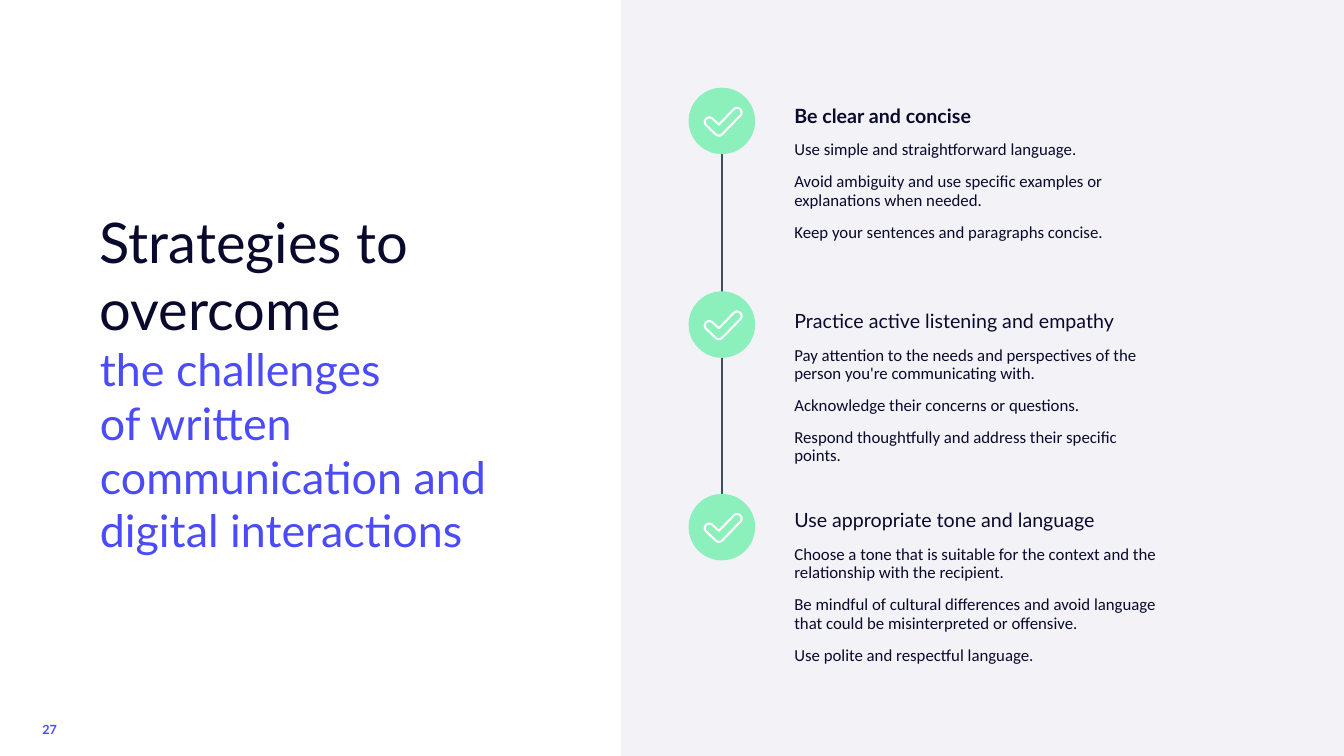
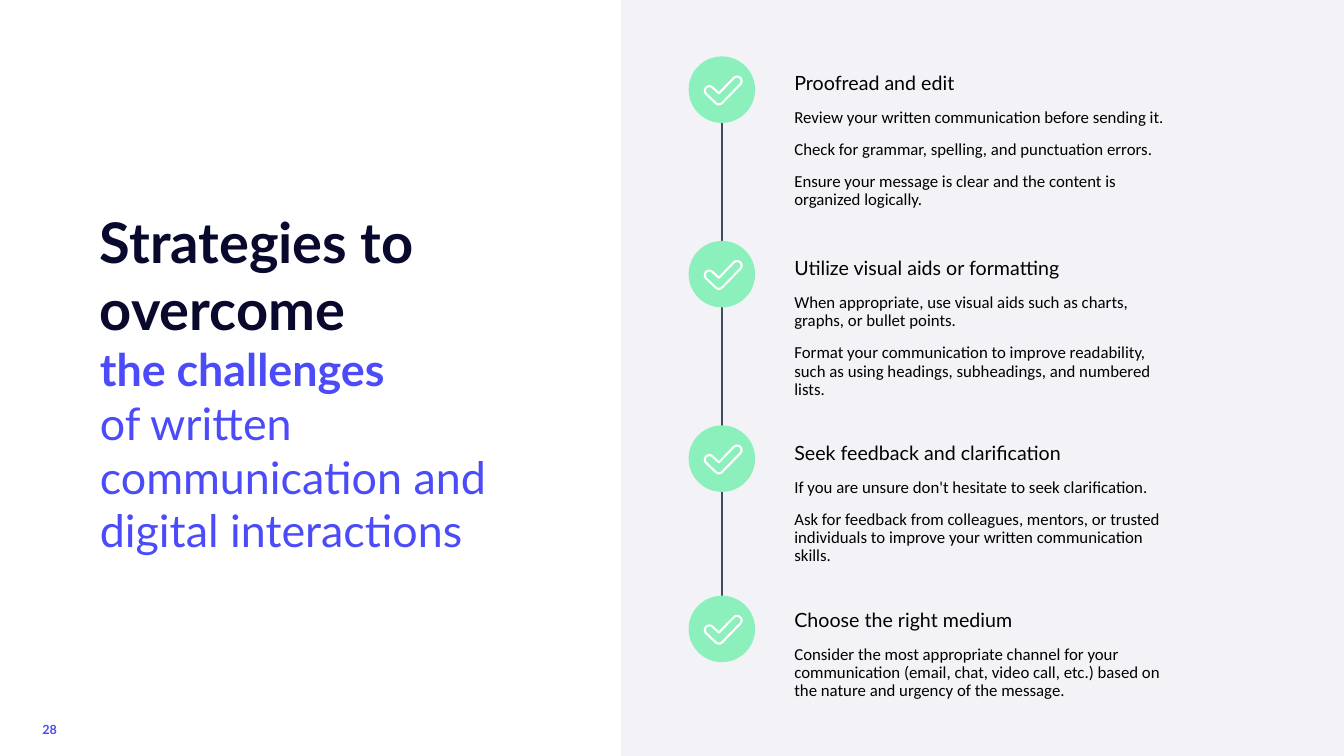
from math import cos, radians, sin, sqrt

from lxml import etree
from pptx import Presentation
from pptx.dml.color import RGBColor
from pptx.enum.shapes import MSO_CONNECTOR as Connector, MSO_SHAPE as Shape
from pptx.enum.text import MSO_ANCHOR as Anchor, MSO_AUTO_SIZE as AutoSize, PP_ALIGN as Align
from pptx.oxml.ns import qn
from pptx.util import Pt

PX = 9144
WIDTH, HEIGHT = 1333, 750
COLORS = {
    "white": "FFFFFF",
    "navy": "09092D",
    "black": "000000",
    "violet": "4B4BF9",
    "panel": "F3F3F7",
    "rail": "3D4C5F",
    "mint": "8BF0BB",
}
HEADING_FONT, BODY_FONT = "Lato", "Calibri"
PANEL_LEFT, TEXT_LEFT, TEXT_WIDTH = 616, 778, 389
BADGE_LEFT, BADGE_SIZE = 683, 66
TICK_RADIUS = 4.5
TICK_ARCS = [((5.5, 15), -45, -225), ((15, 24), 135, 45), ((33, 5.5), 45, -135)]

PAGES = [
    {
        "number": "27",
        "bold_title": False,
        "color": "navy",
        "steps": [
            (87, 98, "Be clear and concise", [
                "Use simple and straightforward language.",
                "Avoid ambiguity and use specific examples or explanations when needed.",
                "Keep your sentences and paragraphs concise.",
            ]),
            (289, 304, "Practice active listening and empathy", [
                "Pay attention to the needs and perspectives of the person you're communicating with.",
                "Acknowledge their concerns or questions.",
                "Respond thoughtfully and address their specific points.",
            ]),
            (490, 502, "Use appropriate tone and language", [
                "Choose a tone that is suitable for the context and the relationship with the recipient.",
                "Be mindful of cultural differences and avoid language that could be misinterpreted or offensive.",
                "Use polite and respectful language.",
            ]),
        ],
        "bold_step": 0,
    },
    {
        "number": "28",
        "bold_title": True,
        "color": "black",
        "steps": [
            (56, 68, "Proofread and edit", [
                "Review your written communication before sending it.",
                "Check for grammar, spelling, and punctuation errors.",
                "Ensure your message is clear and the content is organized logically.",
            ]),
            (239, 252, "Utilize visual aids or formatting", [
                "When appropriate, use visual aids such as charts, graphs, or bullet points.",
                "Format your communication to improve readability, such as using headings, "
                "subheadings, and numbered lists.",
            ]),
            (422, 435, "Seek feedback and clarification", [
                "If you are unsure don't hesitate to seek clarification.",
                "Ask for feedback from colleagues, mentors, or trusted individuals to improve "
                "your written communication skills.",
            ]),
            (591, 601, "Choose the right medium", [
                "Consider the most appropriate channel for your communication (email, chat, "
                "video call, etc.) based on the nature and urgency of the message.",
            ]),
        ],
        "bold_step": None,
    },
]


def px(*lengths):
    """Turn px lengths into EMU."""
    return [round(length * PX) for length in lengths]


def rgb(name):
    """Look up a named colour."""
    return RGBColor.from_string(COLORS[name])


def write(frame, text, first=False, size=12, font=BODY_FONT, color="navy", bold=False,
          spacing=0.9, before=0):
    """Add one formatted paragraph to a text frame."""
    para = frame.paragraphs[0] if first else frame.add_paragraph()
    para.alignment = Align.LEFT
    para.line_spacing = spacing
    para.space_before = Pt(before)
    span = para.add_run()
    span.text = text
    span.font.size, span.font.name, span.font.bold = Pt(size), font, bold
    span.font.color.rgb = rgb(color)


class Builder:
    """Hold the deck style and the current page."""

    def __init__(self):
        """Start an empty wide deck."""
        self.deck = Presentation()
        self.deck.slide_width, self.deck.slide_height = px(WIDTH, HEIGHT)
        self.page = None

    def start_page(self, number):
        """Add a page with its side panel and number."""
        self.page = self.deck.slides.add_slide(self.deck.slide_layouts[5])
        self.shape(Shape.RECTANGLE, PANEL_LEFT, 0, WIDTH - PANEL_LEFT, HEIGHT, "panel")
        frame = self.text_box(37, 713, 40, 24, inset=5)
        write(frame, number, first=True, size=9, font=HEADING_FONT, color="violet", bold=True)

    def title(self, bold):
        """Place and fill the title placeholder."""
        title = self.page.shapes.title
        title.left, title.top, title.width, title.height = px(89, 199, 461, 360)
        frame = title.text_frame
        frame.auto_size = AutoSize.NONE
        frame.vertical_anchor = Anchor.MIDDLE
        style = {"font": HEADING_FONT, "spacing": 1.0}
        write(frame, "Strategies to overcome", first=True, size=40, bold=bold, **style)
        write(frame, "the challenges", size=32, color="violet", bold=bold, **style)
        write(frame, "of written communication and digital interactions",
              size=32, color="violet", **style)

    def shape(self, kind, left, top, width, height, fill):
        """Add a plain filled shape."""
        shape = self.page.shapes.add_shape(kind, *px(left, top, width, height))
        shape.shadow.inherit = False
        shape.fill.solid()
        shape.fill.fore_color.rgb = rgb(fill)
        shape.line.fill.background()

    def text_box(self, left, top, width, height, inset=None):
        """Add a wrapping text box and return its frame."""
        frame = self.page.shapes.add_textbox(*px(left, top, width, height)).text_frame
        frame.word_wrap = True
        if inset is not None:
            frame.margin_left = frame.margin_right = px(inset)[0]
            frame.margin_top = frame.margin_bottom = px(inset)[0]
        return frame

    def rail(self, top, bottom):
        """Draw the vertical line that runs behind the badges."""
        center = BADGE_LEFT + BADGE_SIZE // 2
        line = self.page.shapes.add_connector(
            Connector.STRAIGHT, *px(center, top, center, bottom))
        line.line.color.rgb = rgb("rail")
        line.line.width = Pt(1)
        etree.SubElement(line._element.spPr, qn("a:effectLst"))

    def badge(self, top):
        """Draw a round badge with an outlined tick."""
        self.shape(Shape.OVAL, BADGE_LEFT, top, BADGE_SIZE, BADGE_SIZE, "mint")
        left, tick_top = BADGE_LEFT + 15, top + 19
        points = []
        for (x, y), start, end in TICK_ARCS:
            for angle in range(start, end - 1, -15):
                points.append(px(left + x + TICK_RADIUS * cos(radians(angle)),
                                 tick_top + y + TICK_RADIUS * sin(radians(angle))))
        elbow_x, elbow_y = TICK_ARCS[1][0]
        points.append(px(left + elbow_x, tick_top + elbow_y - TICK_RADIUS * sqrt(2)))
        outline = self.page.shapes.build_freeform(*points[0])
        outline.add_line_segments(points[1:], close=True)
        tick = outline.convert_to_shape()
        tick.shadow.inherit = False
        tick.fill.background()
        tick.line.color.rgb = rgb("white")
        tick.line.width = Pt(1.5)

    def step(self, top, heading, lines, color, bold):
        """Write a heading and its advice."""
        frame = self.text_box(TEXT_LEFT, top, TEXT_WIDTH, 160)
        write(frame, heading, first=True, size=14, font=HEADING_FONT, color=color,
              bold=bold, spacing=1.0 if bold else 0.9)
        for line in lines:
            write(frame, line, color=color, before=10)


def main():
    """Build both pages and save the deck."""
    builder = Builder()
    for content in PAGES:
        steps = content["steps"]
        builder.start_page(content["number"])
        builder.title(content["bold_title"])
        builder.rail(steps[0][0] + BADGE_SIZE // 2, steps[-1][0] + BADGE_SIZE // 2)
        for index, (badge_top, text_top, heading, lines) in enumerate(steps):
            builder.badge(badge_top)
            builder.step(text_top, heading, lines, content["color"],
                         index == content["bold_step"])
    builder.deck.save("out.pptx")


if __name__ == "__main__":
    main()
